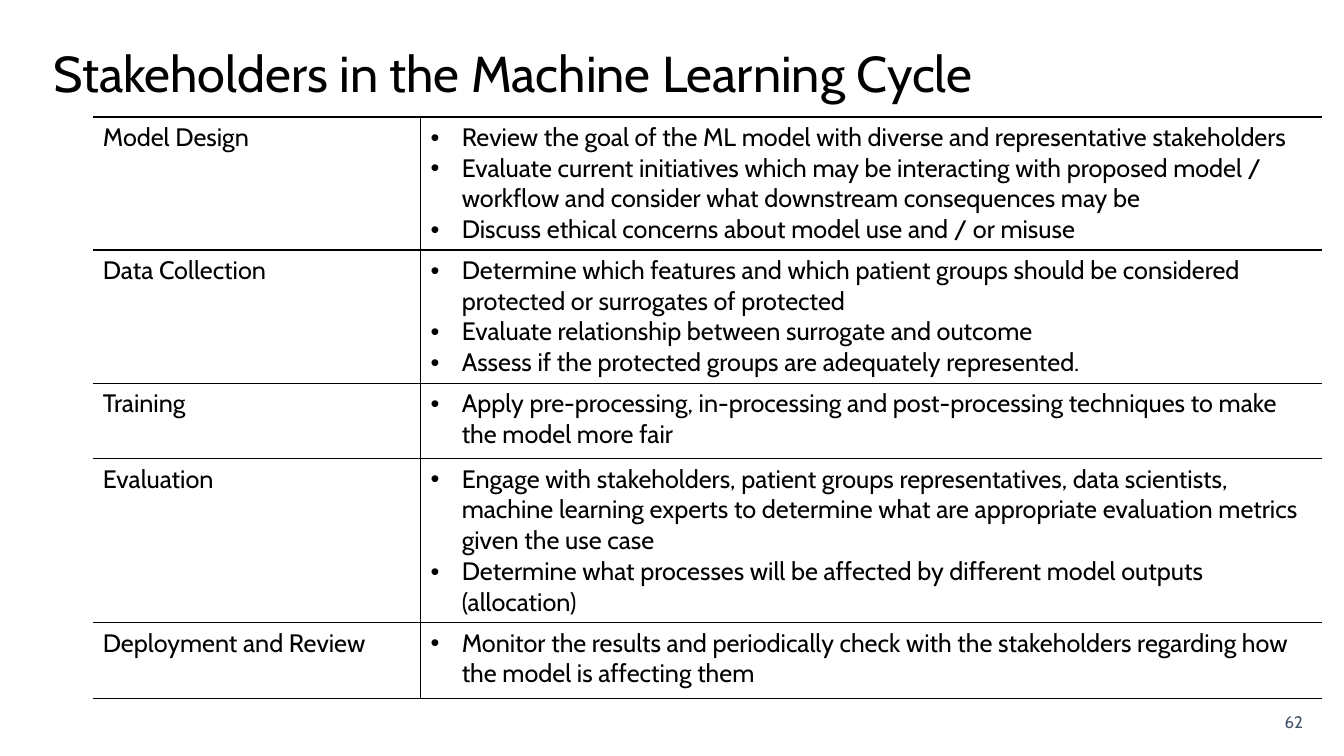
from lxml import etree
from pptx import Presentation
from pptx import util as u
from pptx.dml.color import RGBColor
from pptx.enum import text
from pptx.oxml.ns import qn

COLORS = {"ink": "000000", "page_number": "44546A"}
FONT = "Cabin"
NO_STYLE = "{2D5ABB26-0587-4C30-8999-92F81FD0307C}"

STAGES = [
    ("Model Design", 1.12, [
        "Review the goal of the ML model with diverse and representative stakeholders",
        "Evaluate current initiatives which may be interacting with proposed model / "
        "workflow and consider what downstream consequences may be",
        "Discuss ethical concerns about model use and / or misuse",
    ]),
    ("Data Collection", 1.13, [
        "Determine which features and which patient groups should be considered "
        "protected or surrogates of protected",
        "Evaluate relationship between surrogate and outcome",
        "Assess if the protected groups are adequately represented.",
    ]),
    ("Training", 0.75, [
        "Apply pre-processing, in-processing and post-processing techniques to make "
        "the model more fair",
    ]),
    ("Evaluation", 0.75, [
        "Engage with stakeholders, patient groups representatives, data scientists, "
        "machine learning experts to determine what are appropriate evaluation metrics "
        "given the use case",
        "Determine what processes will be affected by different model outputs (allocation)",
    ]),
    ("Deployment and Review", 0.75, [
        "Monitor the results and periodically check with the stakeholders regarding how "
        "the model is affecting them",
    ]),
]


def style_runs(paragraph, size, color):
    for run in paragraph.runs:
        run.font.name = FONT
        run.font.size = u.Pt(size)
        run.font.color.rgb = RGBColor.from_string(COLORS[color])


def set_borders(cell, visible):
    properties = cell._tc.get_or_add_tcPr()
    for side in ("L", "R", "T", "B"):
        line = etree.SubElement(properties, qn(f"a:ln{side}"), w=str(u.Pt(1)))
        if side in visible:
            fill = etree.SubElement(line, qn("a:solidFill"))
            etree.SubElement(fill, qn("a:srgbClr"), val=COLORS["ink"])
        else:
            etree.SubElement(line, qn("a:noFill"))


prs = Presentation()
prs.slide_width = u.Inches(13.33)
prs.slide_height = u.Inches(7.5)
slide = prs.slides.add_slide(prs.slide_layouts[5])

# Title
title = slide.shapes.title
title.left, title.top = u.Inches(0.43), u.Inches(0.21)
title.width, title.height = u.Inches(11.5), u.Inches(1.09)
title.text_frame.text = "Stakeholders in the Machine Learning Cycle"
title.text_frame.auto_size = text.MSO_AUTO_SIZE.NONE
title.text_frame.vertical_anchor = text.MSO_ANCHOR.MIDDLE
heading = title.text_frame.paragraphs[0]
heading.alignment = text.PP_ALIGN.LEFT
heading.line_spacing = 0.9
style_runs(heading, 36, "ink")

# Table of stages and stakeholder tasks
stage_frame = slide.shapes.add_table(
    len(STAGES), 2, u.Inches(0.92), u.Inches(1.16), u.Inches(12.19), u.Inches(6))
stage_table = stage_frame.table
stage_table.first_row = False
stage_table.horz_banding = False
stage_table._tbl.tblPr.find(qn("a:tableStyleId")).text = NO_STYLE
stage_table.columns[0].width = u.Inches(3.25)
stage_table.columns[1].width = u.Inches(8.94)

for row, (stage, height, tasks) in enumerate(STAGES):
    stage_table.rows[row].height = u.Inches(height)
    stage_cell, task_cell = stage_table.cell(row, 0), stage_table.cell(row, 1)
    stage_cell.text_frame.text = stage
    task_cell.text_frame.text = "\n".join(tasks)

    for task in task_cell.text_frame.paragraphs:
        indent = task._p.get_or_add_pPr()
        indent.set("marL", str(u.Inches(0.31)))
        indent.set("indent", str(u.Inches(-0.31)))
        etree.SubElement(indent, qn("a:buFont"), typeface="Arial")
        etree.SubElement(indent, qn("a:buChar"), char="•")

    for cell, visible in ((stage_cell, "RTB"), (task_cell, "LTB")):
        set_borders(cell, visible)
        cell.fill.background()
        for paragraph in cell.text_frame.paragraphs:
            style_runs(paragraph, 18, "ink")

# Page number
page_number = slide.shapes.add_textbox(
    u.Inches(11.33), u.Inches(7.01), u.Inches(1.69), u.Inches(0.3)).text_frame
page_number.word_wrap = True
page_number.vertical_anchor = text.MSO_ANCHOR.MIDDLE
page_number.text = "62"
page_number.paragraphs[0].alignment = text.PP_ALIGN.RIGHT
style_runs(page_number.paragraphs[0], 12, "page_number")

prs.save("out.pptx")
